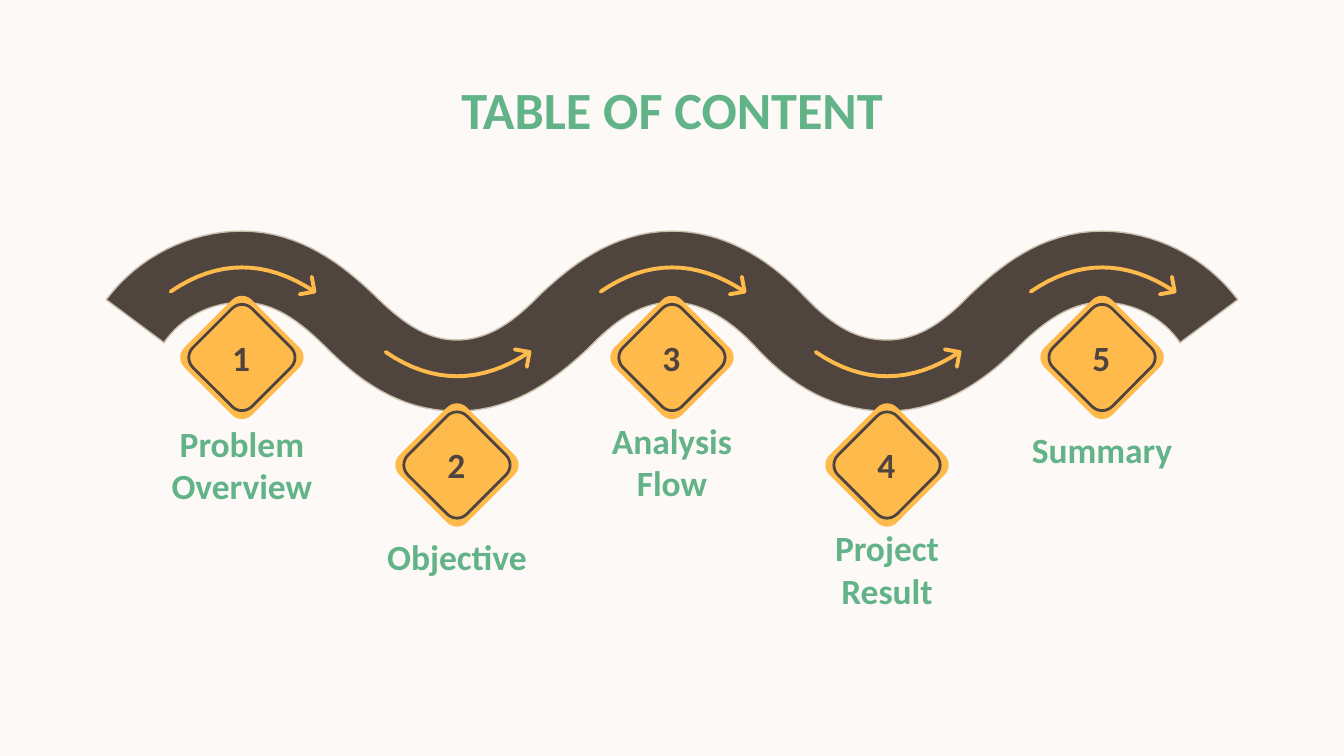
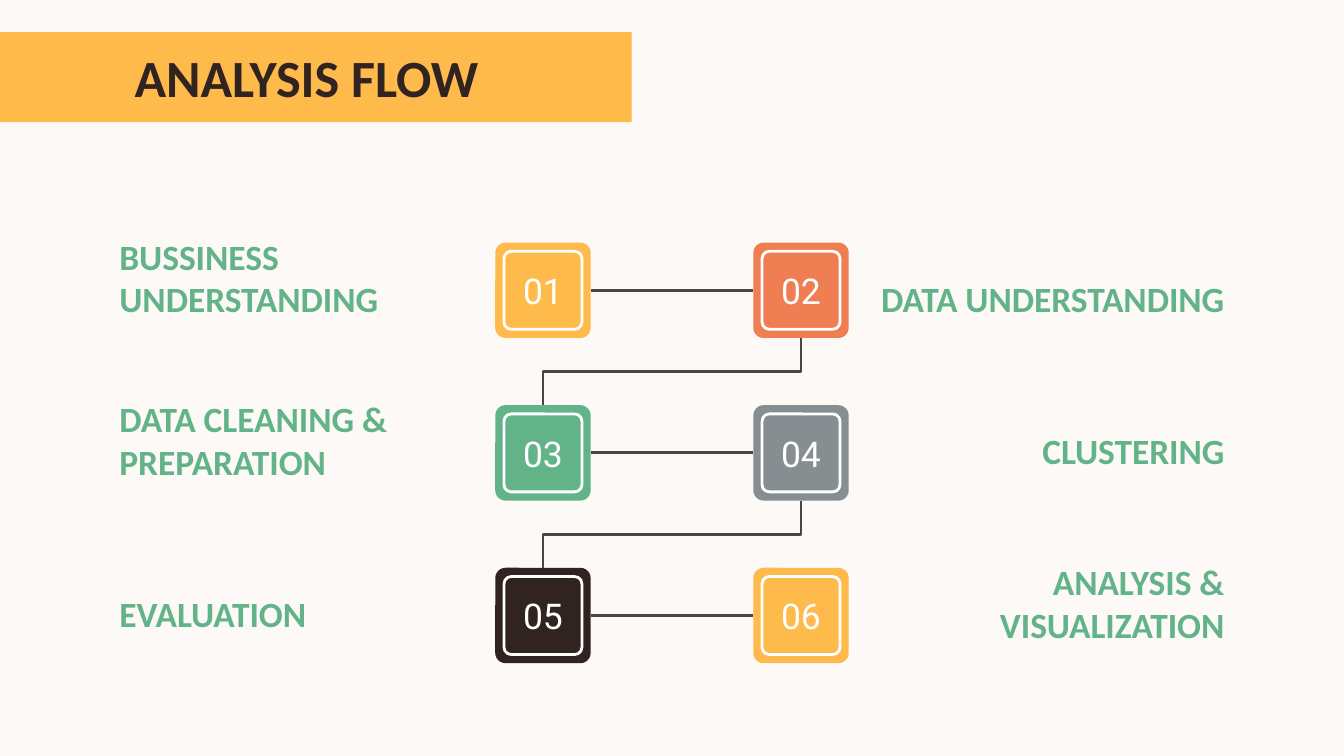
from dataclasses import dataclass

from lxml.etree import SubElement
from pptx import Presentation
from pptx.dml.color import RGBColor as RGB
from pptx.enum.shapes import MSO_CONNECTOR as CXN, MSO_SHAPE as SHAPE
from pptx.enum.text import MSO_ANCHOR as ANCHOR, PP_ALIGN as ALIGN
from pptx.oxml.ns import qn
from pptx.util import Inches, Pt


@dataclass(frozen=True)
class Theme:
    paper: str = "FCF9F7"
    amber: str = "FFBA4C"
    green: str = "63B389"
    coral: str = "F07E53"
    grey: str = "878E91"
    ink: str = "302320"
    asphalt: str = "50443F"
    kerb: str = "C9C0AD"
    white: str = "FFFFFF"
    font: str = "Calibri"
    number_font: str = "Roboto"
    title_size: int = 28
    body_size: int = 19
    line_width: float = 1.5


T = Theme()

TITLE = {"name": T.font, "size": Pt(T.title_size), "bold": True}
LABEL = {"name": T.font, "size": Pt(T.body_size), "bold": True}
NUMBER = {"name": T.number_font, "size": Pt(T.body_size), "bold": False}

# Each edge of the road: a start point, then triples of Bezier points.
ROAD_TOP = [
    (0.79, 2.23), (1.03, 1.91), (1.41, 1.72), (1.8, 1.72),
    (2.24, 1.72), (2.56, 1.98), (2.79, 2.2),
    (3.02, 2.43), (3.2, 2.53), (3.4, 2.53),
    (3.6, 2.53), (3.79, 2.43), (4.01, 2.2),
    (4.22, 2), (4.55, 1.72), (5, 1.72),
    (5.35, 1.72), (5.69, 1.89), (5.99, 2.21),
    (6.2, 2.43), (6.38, 2.53), (6.6, 2.53),
    (6.8, 2.53), (6.99, 2.43), (7.21, 2.2),
    (7.42, 2), (7.74, 1.72), (8.2, 1.72),
    (8.59, 1.72), (8.97, 1.91), (9.21, 2.23),
]
ROAD_BOTTOM = [
    (8.78, 2.55), (8.65, 2.36), (8.43, 2.25), (8.2, 2.25),
    (8, 2.25), (7.81, 2.35), (7.58, 2.58),
    (7.38, 2.78), (7.05, 3.06), (6.6, 3.06),
    (6.12, 3.06), (5.8, 2.78), (5.61, 2.57),
    (5.4, 2.35), (5.2, 2.25), (5, 2.25),
    (4.8, 2.25), (4.61, 2.35), (4.39, 2.58),
    (4.18, 2.78), (3.85, 3.06), (3.4, 3.06),
    (2.95, 3.06), (2.64, 2.8), (2.42, 2.58),
    (2.18, 2.34), (2, 2.25), (1.8, 2.25),
    (1.57, 2.25), (1.35, 2.36), (1.22, 2.55),
]
ARROW_ARC = [(-0.53, 0.18), (-0.18, -0.06), (0.18, -0.06), (0.54, 0.18)]
ARROW_HEAD = [(0.52, 0.07), (0.54, 0.18), (0.43, 0.2)]

# Label, its drop below the sign's centre, and its height.
STOPS = [
    ("Problem\nOverview", 0.42, 0.79),
    ("Objective", 0.42, 0.52),
    ("Analysis\nFlow", 0.67, 0.52),
    ("Project\nResult", 0.67, 0.52),
    ("Summary", 0.42, 0.52),
]

# Label, its top relative to the tile, and the tile colour.
STEPS = [
    ("BUSSINESS\nUNDERSTANDING", 0.16, T.amber),
    ("DATA UNDERSTANDING", 0.16, T.coral),
    ("DATA CLEANING &\nPREPARATION", 0.16, T.green),
    ("CLUSTERING", 0.08, T.grey),
    ("EVALUATION", 0.08, T.ink),
    ("ANALYSIS & VISUALIZATION", 0.16, T.amber),
]


def inches(*values):
    return [Inches(v) for v in values]


def new_slide(prs):
    s = prs.slides.add_slide(prs.slide_layouts[6])
    s.background.fill.solid()
    s.background.fill.fore_color.rgb = RGB.from_string(T.paper)
    return s


def paint(sp, fill=None, line=None, width=T.line_width):
    sp.shadow.inherit = False
    if fill:
        sp.fill.solid()
        sp.fill.fore_color.rgb = RGB.from_string(fill)
    else:
        sp.fill.background()
    if line:
        sp.line.color.rgb = RGB.from_string(line)
        sp.line.width = Pt(width)
    else:
        sp.line.fill.background()
    return sp


def write(sp, text, style, color, align=ALIGN.CENTER, anchor=ANCHOR.TOP):
    tf = sp.text_frame
    frame = {"word_wrap": True, "vertical_anchor": anchor}
    frame.update({f"margin_{side}": Inches(0.1)
                  for side in ("left", "right", "top", "bottom")})
    for key, value in frame.items():
        setattr(tf, key, value)
    for i, line in enumerate(text.split("\n")):
        p = tf.add_paragraph() if i else tf.paragraphs[0]
        p.alignment = align
        r = p.add_run()
        r.text = line
        for key, value in style.items():
            setattr(r.font, key, value)
        r.font.color.rgb = RGB.from_string(color)


def add_text(s, box, *args, **kwargs):
    write(s.shapes.add_textbox(*inches(*box)), *args, **kwargs)


def add_rounded(s, cx, cy, size, radius, **look):
    """Place a rounded square by its centre."""
    sp = s.shapes.add_shape(SHAPE.ROUNDED_RECTANGLE,
                            *inches(cx - size / 2, cy - size / 2, size, size))
    sp.adjustments[0] = radius
    return paint(sp, **look)


def flatten(points, steps=16):
    """Turn a chain of cubic Bezier curves into points on it."""
    out = [points[0]]
    for i in range(0, len(points) - 1, 3):
        a, b, c, d = points[i:i + 4]
        for k in range(1, steps + 1):
            t = k / steps
            u = 1 - t
            out.append(tuple(u**3 * a[n] + 3 * u * u * t * b[n]
                             + 3 * u * t * t * c[n] + t**3 * d[n]
                             for n in (0, 1)))
    return out


def add_freeform(s, contours, close):
    start, *_ = contours[0]
    fb = s.shapes.build_freeform(*inches(*start))
    for i, contour in enumerate(contours):
        first, *rest = [inches(*point) for point in contour]
        if i:
            fb.move_to(*first)
        fb.add_line_segments(rest, close=close)
    return fb.convert_to_shape()


def add_road(s):
    outline = flatten(ROAD_TOP) + flatten(ROAD_BOTTOM)
    paint(add_freeform(s, [outline], True), T.asphalt, T.kerb, 0.75)


def add_lane_arrow(s, cx, peak, bend):
    """Draw an arrow whose arc peaks at (cx, peak); bend -1 turns it over."""
    contours = [[(cx + x, peak + bend * y) for x, y in part]
                for part in (flatten(ARROW_ARC), ARROW_HEAD)]
    sp = paint(add_freeform(s, contours, False), line=T.amber, width=2.1)
    ln = sp.line._get_or_add_ln()
    ln.set("cap", "rnd")
    SubElement(ln, qn("a:round"))


def add_sign(s, cx, cy, number, label, drop, height):
    add_text(s, (cx - 0.77, cy + drop, 1.54, height), label, LABEL, T.green,
             anchor=ANCHOR.BOTTOM)
    plate = add_rounded(s, cx, cy, 0.71, 0.146, fill=T.amber)
    rim = add_rounded(s, cx, cy, 0.62, 0.167, line=T.asphalt)
    plate.rotation = rim.rotation = 45
    add_text(s, (cx - 0.44, cy - 0.26, 0.87, 0.52), str(number), LABEL, T.asphalt)


def contents_slide(prs):
    s = new_slide(prs)
    add_text(s, (0.79, 0.49, 8.42, 0.63), "TABLE OF CONTENT", TITLE, T.green,
             anchor=ANCHOR.MIDDLE)
    add_road(s)
    for i, stop in enumerate(STOPS):
        cx, low = 1.8 + 1.6 * i, i % 2
        add_lane_arrow(s, cx, 2.8 if low else 1.99, -1 if low else 1)
        add_sign(s, cx, 3.46 if low else 2.66, i + 1, *stop)


def add_banner(s, box, text):
    sp = paint(s.shapes.add_shape(SHAPE.RECTANGLE, *inches(*box)), T.amber)
    write(sp, text, TITLE, T.ink)


def add_tile(s, cx, cy, number, color):
    tile = add_rounded(s, cx, cy, 0.71, 0.108, fill=color)
    face = add_rounded(s, cx, cy, 0.58, 0.093, fill=color, line=T.white)
    write(face, f"{number:02}", NUMBER, T.white, anchor=ANCHOR.MIDDLE)
    return tile


def add_line(s, kind, *ends):
    cxn = s.shapes.add_connector(kind, *inches(*ends))
    cxn.line.color.rgb = RGB.from_string(T.asphalt)
    cxn.line.width = Pt(T.line_width)
    SubElement(cxn._element.spPr, qn("a:effectLst"))
    return cxn


def add_turn(s, cx, cy, width, height):
    """Draw an elbow from bottom left to top right, leaving vertically."""
    cxn = add_line(s, CXN.ELBOW, cx - height / 2, cy - width / 2,
                   cx + height / 2, cy + width / 2)
    cxn._element.spPr.find(qn("a:xfrm")).set("rot", str(270 * 60000))


def flow_slide(prs):
    s = new_slide(prs)
    left, right, top, pitch = 4.04, 5.96, 2.16, 1.21
    label_w = 2.78
    tiles = []
    for i, (label, offset, color) in enumerate(STEPS):
        row, col = divmod(i, 2)
        cy = top + pitch * row
        x = 9.21 - label_w if col else 0.79
        add_text(s, (x, cy - 0.36 + offset, label_w, 0.52), label, LABEL, T.green,
                 align=ALIGN.RIGHT if col else ALIGN.LEFT, anchor=ANCHOR.BOTTOM)
        tiles.append(add_tile(s, right if col else left, cy, i + 1, color))
    for row, (a, b) in enumerate(zip(tiles[::2], tiles[1::2])):
        cy = top + pitch * row
        cxn = add_line(s, CXN.STRAIGHT, left, cy, right, cy)
        cxn.begin_connect(a, 3)
        cxn.end_connect(b, 1)
        if row:
            add_turn(s, (left + right) / 2, cy - pitch / 2, right - left, 0.5)
    add_banner(s, (-0.14, 0.24, 4.84, 0.67), "ANALYSIS FLOW")


def main():
    prs = Presentation()
    prs.slide_width, prs.slide_height = inches(10, 10 * 9 / 16)
    contents_slide(prs)
    flow_slide(prs)
    prs.save("out.pptx")


if __name__ == "__main__":
    main()
